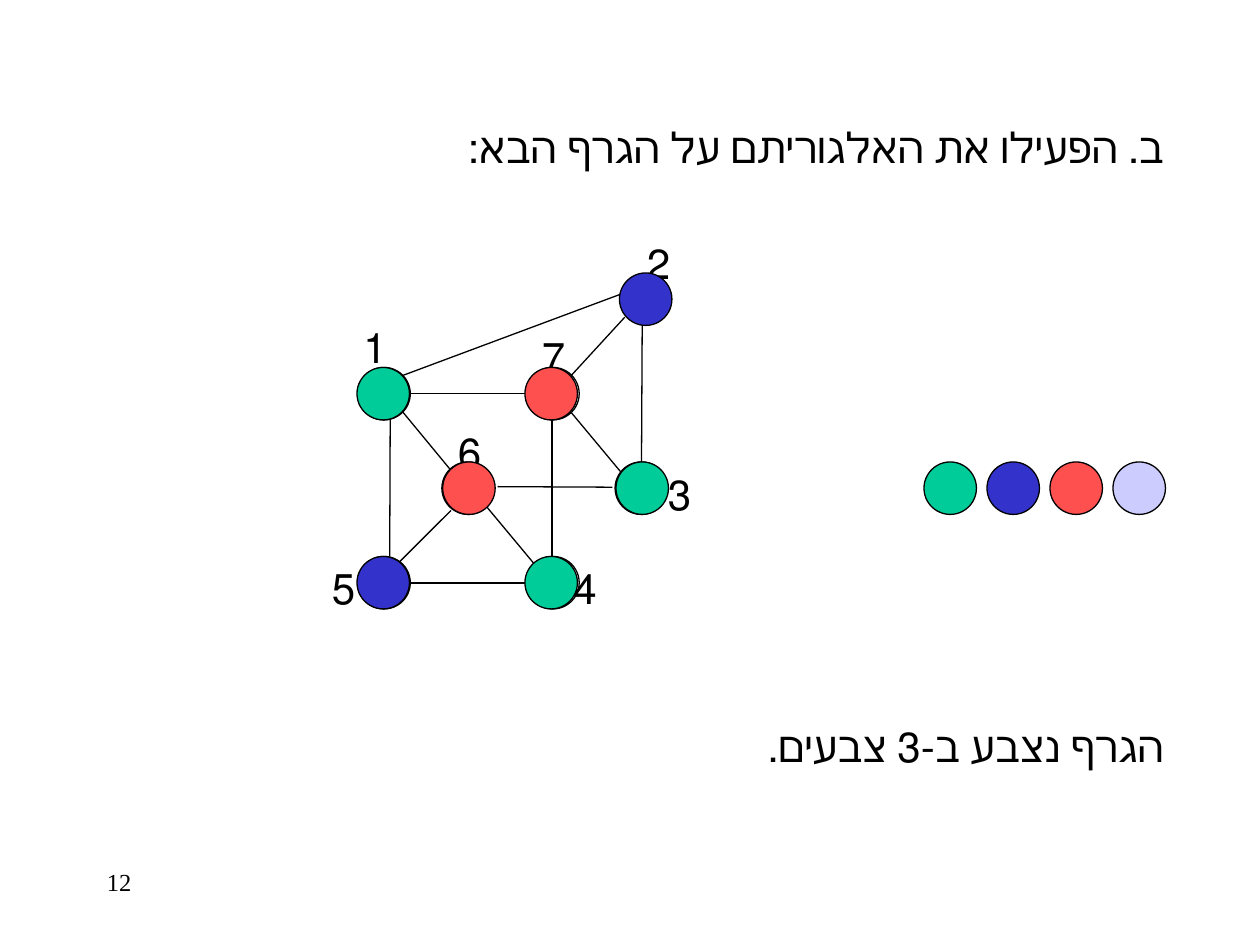
from lxml import etree
from pptx import Presentation
from pptx.enum.shapes import MSO_CONNECTOR, MSO_SHAPE
from pptx.enum.text import MSO_AUTO_SIZE, PP_ALIGN
from pptx.dml.color import RGBColor
from pptx.oxml.ns import qn
from pptx.util import Pt

STRAIGHT = MSO_CONNECTOR.STRAIGHT
OVAL = MSO_SHAPE.OVAL
GROW = MSO_AUTO_SIZE.SHAPE_TO_FIT_TEXT
LEFT, RIGHT = PP_ALIGN.LEFT, PP_ALIGN.RIGHT

COLORS = {"black": "000000", "green": "00CC99", "blue": "3333CC",
          "red": "FF5050", "lavender": "CCCCFF"}
DIAMETER = 30
RINGS = [(301, 210), (204.5, 318), (204.5, 210), (301, 318), (252.5, 264), (351.5, 264)]
EDGES = [
    (234.7, 224.8, 301, 224.8), (234.7, 333.2, 301, 333.2),
    (222.7, 318, 223, 240), (284.4, 278.1, 350, 278.4),
    (315.5, 317.7, 315.5, 240), (366.6, 264, 367, 186),
    (355, 270, 325, 234), (258.7, 270, 229, 234),
    (308, 325.5, 278, 289.5), (257.7, 291.7, 227.7, 321.7),
    (357, 181.3, 326.3, 214.7), (355, 168, 229, 215),
]
LABELS = [("7", 306, 186), ("1", 204, 180), ("2", 366, 132), ("3", 378, 264),
          ("4", 324, 318), ("5", 186, 318), ("6", 258, 240)]
NODES = [(204, 210, "green"), (354, 156, "blue"), (352, 264, "green"),
         (300, 318, "green"), (204, 318, "blue"), (253, 264, "red"), (300, 210, "red")]
PALETTE = ["green", "blue", "red", "lavender"]


class GraphSlide:
    """Draws the parts of a coloured graph on one slide."""

    font = {"name": "Times New Roman", "size": Pt(24)}
    line_width = Pt(0.75)

    def __init__(self, presentation):
        self.slide = presentation.slides.add_slide(presentation.slide_layouts[6])
        self.shapes = self.slide.shapes

    def group(self):
        return self.shapes.add_group_shape().shapes

    def color(self, name):
        return RGBColor.from_string(COLORS[name])

    def outline(self, shape):
        shape.line.color.rgb = self.color("black")
        shape.line.width = self.line_width

    def circle(self, shapes, left, top, fill=None):
        shape = shapes.add_shape(OVAL, Pt(left), Pt(top), Pt(DIAMETER), Pt(DIAMETER))
        shape.shadow.inherit = False
        self.outline(shape)
        if fill:
            shape.fill.solid()
            shape.fill.fore_color.rgb = self.color(fill)
        else:
            shape.fill.background()

    def edge(self, shapes, *ends):
        connector = shapes.add_connector(STRAIGHT, *map(Pt, ends))
        etree.SubElement(connector._element.spPr, qn("a:effectLst"))
        self.outline(connector)

    def text(self, shapes, text, left, top, width, alignment=RIGHT, **font):
        box = shapes.add_textbox(Pt(left), Pt(top), Pt(width), Pt(36))
        box.text_frame.word_wrap = True
        box.text_frame.auto_size = GROW
        paragraph = box.text_frame.paragraphs[0]
        paragraph.alignment = alignment
        paragraph._p.get_or_add_pPr().set("rtl", "1")
        run = paragraph.add_run()
        run.text = text
        for name, value in {**self.font, **font}.items():
            setattr(run.font, name, value)
        run.font.color.rgb = self.color("black")
        return run

    def page_number(self, text, left, top, width):
        run = self.text(self.shapes, text, left, top, width, LEFT, size=Pt(14))
        complex_font = etree.SubElement(run._r.get_or_add_rPr(), qn("a:cs"))
        complex_font.set("typeface", self.font["name"])


def main():
    presentation = Presentation()
    presentation.slide_width, presentation.slide_height = Pt(720), Pt(540)
    page = GraphSlide(presentation)

    page.text(page.shapes, "ב. הפעילו את האלגוריתם על הגרף הבא:", 66, 66, 606)
    graph = page.group()
    for ring in RINGS:
        page.circle(graph, *ring)
    for ends in EDGES:
        page.edge(graph, *ends)
    labels = page.group()
    for text, left, top in LABELS:
        page.text(labels, text, left, top, 24)
    palette = page.group()
    for index, fill in enumerate(PALETTE):
        page.circle(palette, 528 + 36 * index, 264, fill)
    for node in NODES:
        page.circle(page.shapes, *node)
    page.text(page.shapes, "הגרף נצבע ב-3 צבעים.", 66, 408, 606)
    page.page_number("12", 54, 492, 150)

    presentation.save("out.pptx")


if __name__ == "__main__":
    main()
